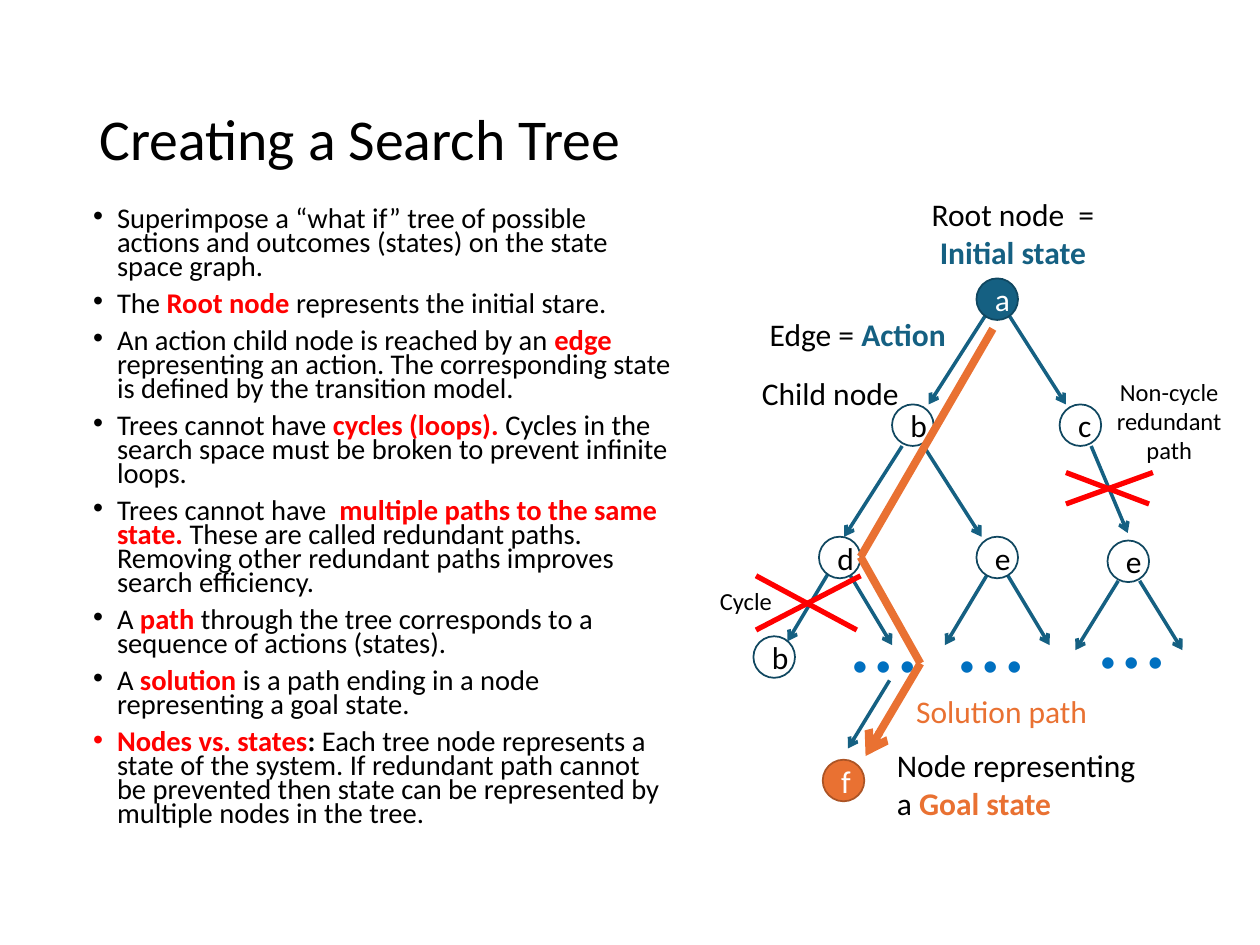
from lxml import etree
from pptx import Presentation
from pptx.dml.color import RGBColor
from pptx.enum.shapes import MSO_CONNECTOR, MSO_SHAPE
from pptx.enum.text import MSO_ANCHOR, PP_ALIGN
from pptx.oxml.ns import qn
from pptx.util import Inches, Pt

LEFT, MID = PP_ALIGN.LEFT, PP_ALIGN.CENTER
TOP, CENTER = MSO_ANCHOR.TOP, MSO_ANCHOR.MIDDLE
OVAL, LINE = MSO_SHAPE.OVAL, MSO_CONNECTOR.STRAIGHT

THEME = {
    "font": "Calibri",
    "black": "000000", "white": "FFFFFF", "red": "FF0000", "dots": "0070C0",
    "teal": "156082", "rim": "104760", "orange": "E97132", "rust": "AC5425",
    "title": 33, "body": 16.3, "label": 18, "note": 14, "big": 54,
}

# Positions are cells of a grid with 1000 columns and 750 rows
WIDE, HIGH = Inches(10), Inches(7.5)
COLS, ROWS = 1000, 750
NODE = 33    # node diameter
FOOT = 8.5   # from a node's centre line to the start of an edge

# Content: a run is plain text or (text, colour, bold)
TITLE = "Creating a Search Tree"
POINTS = [
    ["Superimpose a “what if” tree of possible actions and outcomes (states) "
     "on the state space graph."],
    ["The", (" Root node", "red", True), " represents the initial stare."],
    ["An action child node is reached by an ", ("edge", "red", True),
     " representing an action. The corresponding state is defined by the "
     "transition model."],
    ["Trees cannot have ", ("cycles (loops). ", "red", True),
     "Cycles in the search space must be broken to prevent infinite loops."],
    ["Trees cannot have  ", ("multiple paths to the same state.", "red", True),
     " These are called redundant paths. Removing other redundant paths "
     "improves search efficiency."],
    ["A ", ("path", "red", True),
     " through the tree corresponds to a sequence of actions (states)."],
    ["A ", ("solution", "red", True),
     " is a path ending in a node representing a goal state."],
    [("Nodes vs. states", "red", True), (": ", "black", True),
     "Each tree node represents a state of the system. If redundant path "
     "cannot be prevented then state can be represented by multiple nodes "
     "in the tree."],
]

# Nodes: letter, left, top, fill, rim, ink
PLAIN = ("white", "rim", "black")
NODES = [
    ("a", 775, 221, "teal", "rim", "white"),
    ("b", 708, 321, *PLAIN), ("c", 841, 321, *PLAIN),
    ("d", 650, 426, *PLAIN), ("e", 775, 426, *PLAIN), ("e", 879, 429, *PLAIN),
    ("b", 598, 505, *PLAIN),
    ("f", 653, 603, "orange", "rust", "white"),
]

# Edges: parent's centre, starting row, side (-1 left, 1 right), run, drop
EDGES = [
    (791.5, 249, -1, 46, 72), (791.5, 249, 1, 46, 72),
    (724.5, 354, -1, 46, 72), (724.5, 354, 1, 46, 72),
    (857.5, 354, 1, 29, 69),
    (666.5, 454, -1, 33, 55), (666.5, 457, 1, 33, 55),
    (791.5, 457, -1, 33, 55), (791.5, 457, 1, 33, 55),
    (896, 461, -1, 34, 55), (896, 461, 1, 34, 55),
    (714.5, 540, -1, 33, 54),
]

DOTS = [(666, 454), (751, 454), (863, 451)]

# Labels: box, paragraphs, format
LABELS = [
    ((725, 150, 158, 71),
     [["Root node  = ", ("Initial state", "teal", True)]], {"align": MID}),
    ((592, 292, 134, 40), [["Child node"]], {"align": MID}),
    ((601, 245, 162, 40),
     [["Edge = ", ("Action", "teal", True)]], {"wrap": False}),
    ((702, 587, 218, 71),
     [["Node representing \va ", ("Goal state", "orange", True)]],
     {"wrap": False}),
    ((861, 294, 134, 81), [["Non-cycle redundant"], ["path"]],
     {"align": MID, "size": "note"}),
    ((711, 544, 168, 40), [["Solution path"]],
     {"align": MID, "ink": "orange"}),
    ((525, 460, 134, 34), [["Cycle"]], {"align": MID, "size": "note"}),
]

# Crosses: the two strokes of each
CROSSES = [
    ((846, 375, 912, 400), (915, 375, 846, 400)),
    ((600, 457, 680, 500), (683, 457, 600, 500)),
]

# Solution path: corner points, then the arrow into the goal
ROUTE = [(788, 261), (683, 442), (730.5, 526.5), (687, 600)]


def hue(name):
    return RGBColor.from_string(THEME[name])


def place(*cells):
    """Turn alternating columns and rows into slide lengths."""
    return [round(cell * (HIGH / ROWS if i % 2 else WIDE / COLS))
            for i, cell in enumerate(cells)]


def write(shape, paras, size="label", ink="black", align=LEFT, anchor=TOP,
          wrap=True, lead=None, gap=0, bullet=False):
    frame = shape.text_frame
    frame.word_wrap = wrap
    frame.vertical_anchor = anchor
    for i, runs in enumerate(paras):
        para = frame.add_paragraph() if i else frame.paragraphs[0]
        para.alignment = align
        if lead:
            para.line_spacing = lead
        para.space_before = Pt(gap if i else 0)
        if bullet:
            props = para._p.get_or_add_pPr()
            props.set("marL", str(Inches(0.19)))
            props.set("indent", str(-Inches(0.19)))
            font = etree.SubElement(props, qn("a:buFont"))
            font.set("typeface", "Arial")
            etree.SubElement(props, qn("a:buChar")).set("char", "•")
        for part in runs:
            words, tone, bold = (part, ink, False) if isinstance(part, str) else part
            # A vertical tab marks a line break inside a run
            for j, piece in enumerate(words.split("\v")):
                if j:
                    para.add_line_break()
                run = para.add_run()
                run.text = piece
                run.font.name = THEME["font"]
                run.font.size = Pt(THEME[size])
                run.font.bold = bold
                run.font.color.rgb = hue(tone)


def label(box, paras, **form):
    write(slide.shapes.add_textbox(*place(*box)), paras, **form)


def node(text, left, top, fill, rim, ink):
    shape = slide.shapes.add_shape(OVAL, *place(left, top, NODE, NODE))
    shape.shadow.inherit = False
    shape.fill.solid()
    shape.fill.fore_color.rgb = hue(fill)
    shape.line.color.rgb = hue(rim)
    shape.line.width = Pt(1)
    write(shape, [[text]], ink=ink, align=MID, anchor=CENTER)


def stroke(ends, ink, width, arrow=False):
    line = slide.shapes.add_connector(LINE, *place(*ends))
    line.line.color.rgb = hue(ink)
    line.line.width = Pt(width)
    if arrow:
        tail = etree.SubElement(line.line._get_or_add_ln(), qn("a:tailEnd"))
        tail.set("type", "arrow")
    etree.SubElement(line._element.spPr, qn("a:effectLst"))


deck = Presentation()
deck.slide_width, deck.slide_height = WIDE, HIGH
slide = deck.slides.add_slide(deck.slide_layouts[6])

# Title and bullet points
label((69, 40, 862, 145), [[TITLE]], size="title", anchor=CENTER, lead=0.9)
label((64, 161, 481, 539), POINTS, size="body", lead=0.7, gap=7.5, bullet=True)

# Search tree
for left, top in DOTS:
    label((left, top, 74, 101), [["…"]], size="big", ink="dots", wrap=False)
for mid, top, side, run, drop in EDGES:
    start = mid + side * FOOT
    stroke((start, top, start + side * run, top + drop), "teal", 2, arrow=True)
for item in NODES:
    node(*item)

# Labels
for box, paras, form in LABELS:
    label(box, paras, **form)

# Crossed-out edges and solution path
for cross in CROSSES:
    for ends in cross:
        stroke(ends, "red", 3)
for start, end in zip(ROUTE, ROUTE[1:]):
    stroke((*start, *end), "orange", 4.5, arrow=end == ROUTE[-1])

deck.save("out.pptx")
